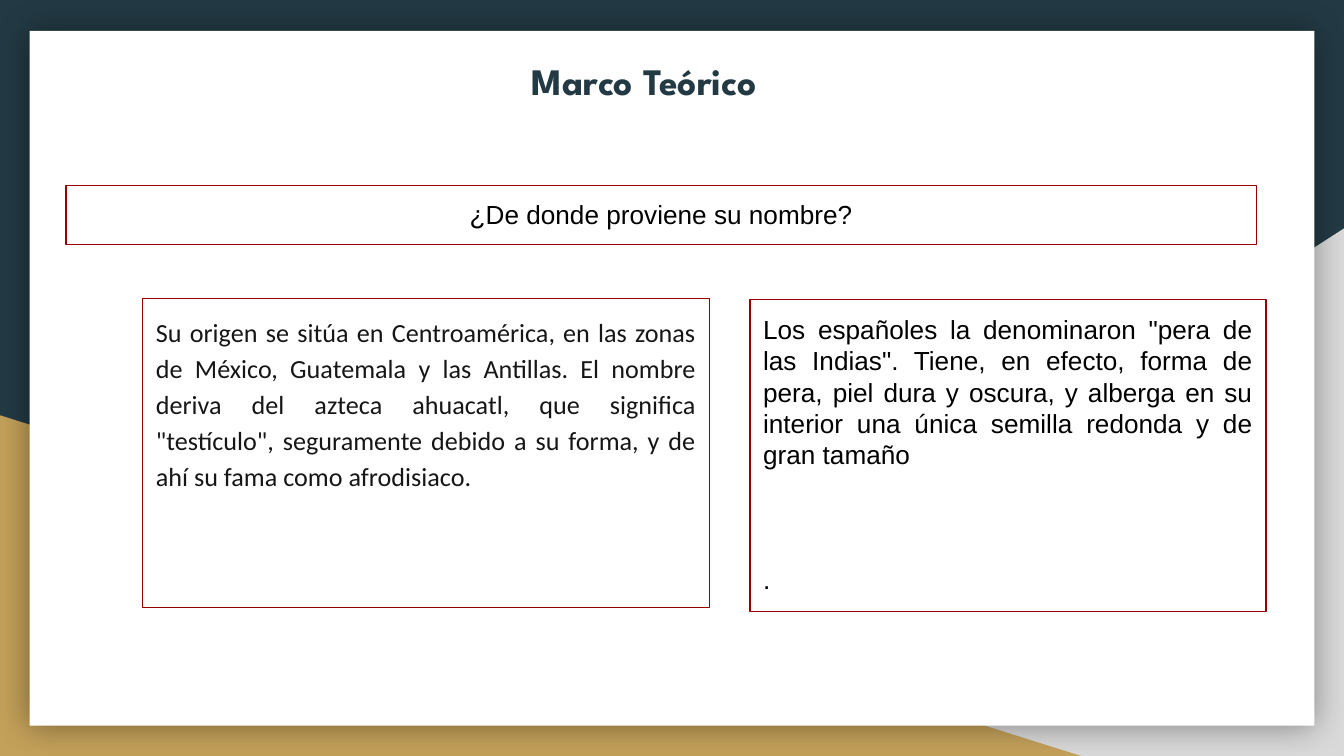
from lxml.etree import SubElement
from pptx import Presentation
from pptx.dml.color import RGBColor
from pptx.enum.shapes import MSO_SHAPE as SHAPE
from pptx.enum.text import MSO_ANCHOR as ANCHOR, PP_ALIGN as ALIGN
from pptx.oxml import parse_xml
from pptx.oxml.ns import nsdecls, qn
from pptx.util import Inches, Pt

NAVY, GOLD, GRAY, WHITE = "233A44", "C4A15A", "D9D9D9", "FFFFFF"
RED, INK, BLACK = "980000", "161616", "000000"

TITLE = "Marco Teórico"
QUESTION = "¿De donde proviene su nombre?"
ORIGIN = (
    "Su origen se sitúa en Centroamérica, en las zonas de México, Guatemala y las "
    "Antillas. El nombre deriva del azteca ahuacatl, que significa \"testículo\", "
    "seguramente debido a su forma, y de ahí su fama como afrodisiaco."
)
SPANISH = (
    "Los españoles la denominaron \"pera de las Indias\". Tiene, en efecto, forma de "
    "pera, piel dura y oscura, y alberga en su interior una única semilla redonda y "
    "de gran tamaño"
)

BACKDROP = [
    (SHAPE.RIGHT_TRIANGLE, (3.92, 1.7, 6.08, 3.93), GRAY, True),
    (SHAPE.RIGHT_TRIANGLE, (0, 3.09, 8.06, 2.54), GOLD, False),
    (SHAPE.RECTANGLE, (0.22, 0.23, 9.56, 5.17), WHITE, False),
]
BOXES = [
    ((0.49, 1.38, 8.86, 0.44), [QUESTION], ALIGN.CENTER),
    ((5.58, 2.23, 3.84, 2.32), [SPANISH, "."], ALIGN.JUSTIFY),
]
SHADOW = (
    f'<a:effectLst {nsdecls("a")}><a:outerShdw blurRad="{Pt(18)}" dist="0" dir="0" '
    f'algn="ctr" rotWithShape="0"><a:srgbClr val="{BLACK}"><a:alpha val="40000"/>'
    "</a:srgbClr></a:outerShdw></a:effectLst>"
)


def rgb(value):
    return RGBColor.from_string(value)


def place(sp, box):
    sp.left, sp.top, sp.width, sp.height = map(Inches, box)


def outline(sp):
    sp.line.color.rgb = rgb(RED)
    sp.line.width = Pt(0.75)


def write(sp, lines, align, font, size, color, bold=False):
    tf = sp.text_frame
    tf.word_wrap = True
    tf.vertical_anchor = ANCHOR.TOP
    tf.margin_left = tf.margin_right = tf.margin_top = tf.margin_bottom = Inches(0.1)
    for i, line in enumerate(lines):
        p = tf.add_paragraph() if i else tf.paragraphs[0]
        p.text = line
        p.alignment = align
        p.space_before = Pt(50 if i else 0)
        p.line_spacing = 1.0
        p.font.name, p.font.size, p.font.bold = font, Pt(size), bold
        p.font.color.rgb = rgb(color)
    return tf.paragraphs[0]


def add_backdrop(slide):
    for kind, box, color, flip in BACKDROP:
        s = slide.shapes.add_shape(kind, *map(Inches, box))
        s.fill.solid()
        s.fill.fore_color.rgb = rgb(color)
        s.line.fill.background()
        s.shadow.inherit = False
        if flip:
            s._element.spPr.find(qn("a:xfrm")).set("flipH", "1")
    sp_pr = s._element.spPr
    sp_pr.replace(sp_pr.find(qn("a:effectLst")), parse_xml(SHADOW))


def add_placeholders(slide):
    title, body = slide.placeholders
    for sp in (title, body):
        slide.shapes._spTree.append(sp._element)
    place(title, (0.69, 0.33, 8.21, 0.67))
    write(title, [TITLE], ALIGN.CENTER, "League Spartan", 20, NAVY, True)
    place(body, (1.06, 2.22, 4.22, 2.3))
    outline(body)
    p = write(body, [ORIGIN], ALIGN.JUSTIFY, "Calibri", 14, INK)
    p.line_spacing, p.space_after = 1.15, Pt(12)
    p_pr = p._p.get_or_add_pPr()
    p_pr.set("marL", "0")
    p_pr.set("indent", "0")
    p_pr.insert_element_before(SubElement(p_pr, qn("a:buNone")), "a:tabLst", "a:defRPr")


def add_boxes(slide):
    for box, lines, align in BOXES:
        s = slide.shapes.add_shape(SHAPE.RECTANGLE, *map(Inches, box))
        s.fill.background()
        s.shadow.inherit = False
        outline(s)
        write(s, lines, align, "Arial", 14, BLACK)


def main():
    """Build the theoretical framework slide."""
    prs = Presentation()
    prs.slide_width = Inches(10)
    prs.slide_height = prs.slide_width * 9 // 16
    slide = prs.slides.add_slide(prs.slide_layouts[1])
    fill = slide.background.fill
    fill.solid()
    fill.fore_color.rgb = rgb(NAVY)
    add_backdrop(slide)
    add_placeholders(slide)
    add_boxes(slide)
    prs.save("out.pptx")


if __name__ == "__main__":
    main()
